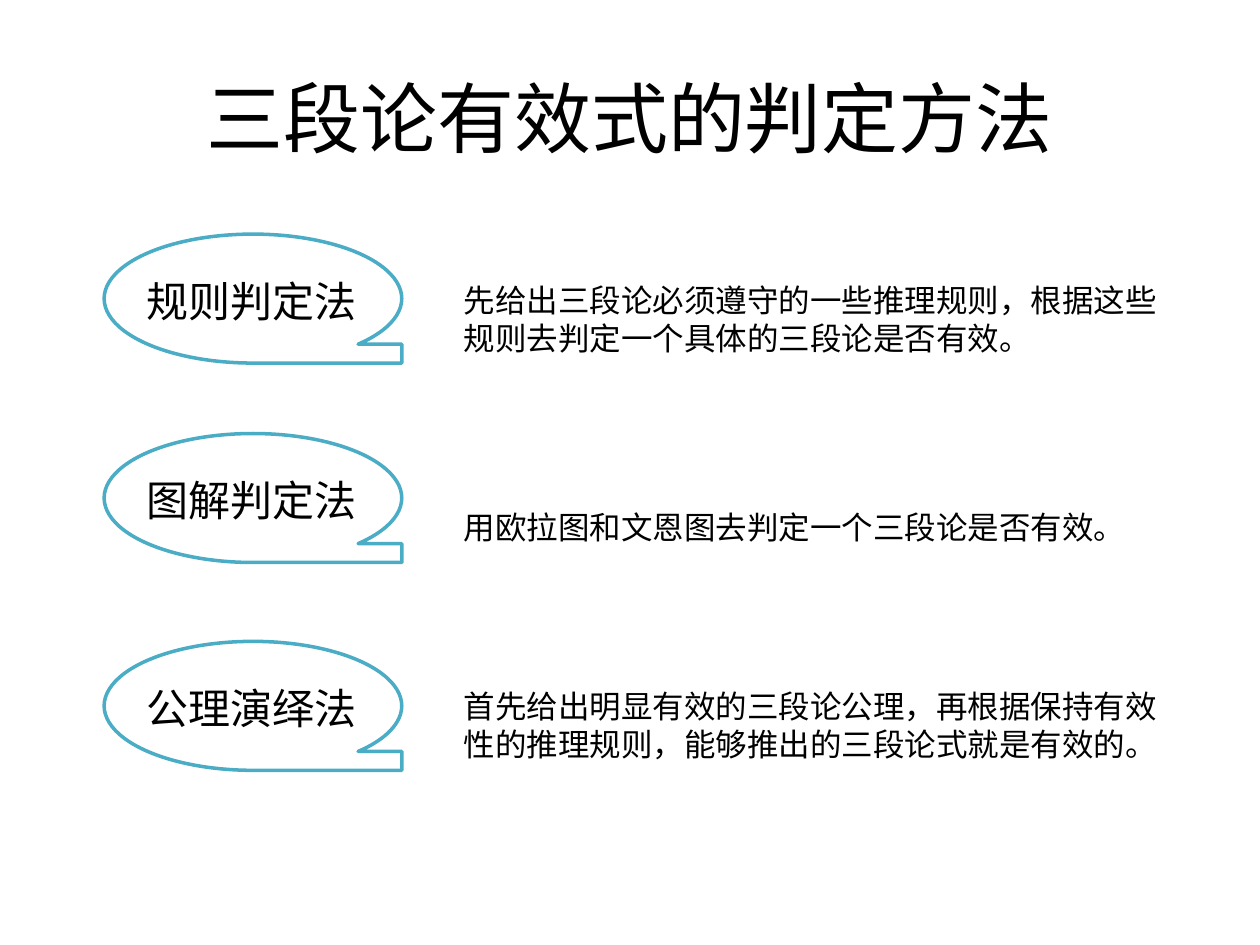
from lxml.etree import SubElement
from pptx import Presentation
from pptx.dml.color import RGBColor
from pptx.enum.shapes import MSO_SHAPE
from pptx.enum.text import MSO_ANCHOR as Anchor, PP_ALIGN as Align
from pptx.oxml.ns import qn
from pptx.util import Cm, Pt

BLACK = RGBColor(0x00, 0x00, 0x00)
WHITE = RGBColor(0xFF, 0xFF, 0xFF)
TEAL = RGBColor(0x4B, 0xAC, 0xC6)

METHODS = [
    (4.72, "规则判定法", 5.54, 1.8,
     "先给出三段论必须遵守的一些推理规则，根据这些规则去判定一个具体的三段论是否有效。"),
    (8.74, "图解判定法", 10.11, 1.02,
     "用欧拉图和文恩图去判定一个三段论是否有效。"),
    (12.93, "公理演绎法", 13.72, 1.8,
     "首先给出明显有效的三段论公理，再根据保持有效性的推理规则，能够推出的三段论式就是有效的。"),
]


def write(tf, text, size=18, font="Noto Sans CJK SC", color=BLACK,
          align=Align.LEFT, anchor=Anchor.TOP):
    tf.word_wrap = True
    tf.vertical_anchor = anchor
    p = tf.paragraphs[0]
    p.alignment = align
    r = p.add_run()
    r.text = text
    r.font.size = Pt(size)
    r.font.name = font
    r.font.color.rgb = color
    SubElement(r.font._element, qn("a:ea"), typeface=font)


class Deck:
    line_color = TEAL
    line_width = Pt(2)
    fill_color = WHITE

    def __init__(self, prs):
        self.slide = prs.slides.add_slide(prs.slide_layouts[6])

    def text(self, x, y, w, h, text, **style):
        sp = self.slide.shapes.add_textbox(Cm(x), Cm(y), Cm(w), Cm(h))
        write(sp.text_frame, text, **style)

    def bubble(self, x, y, w, h):
        sp = self.slide.shapes.add_shape(
            MSO_SHAPE.FLOWCHART_SEQUENTIAL_ACCESS_STORAGE,
            Cm(x), Cm(y), Cm(w), Cm(h))
        sp.shadow.inherit = False
        sp.fill.solid()
        sp.fill.fore_color.rgb = self.fill_color
        sp.line.color.rgb = self.line_color
        sp.line.width = self.line_width


def main():
    prs = Presentation()
    prs.slide_width, prs.slide_height = Cm(25.4), Cm(19.05)
    deck = Deck(prs)
    deck.text(1.27, 0.76, 22.86, 3.18, "三段论有效式的判定方法", size=44,
              font="Noto Sans CJK JP", align=Align.CENTER, anchor=Anchor.MIDDLE)
    for top, name, text_top, text_height, description in METHODS:
        deck.bubble(2.1, top, 6, 2.6)
        deck.text(2.7, top + 0.71, 5, 1.27, name, size=24)
        deck.text(9.1, text_top, 15, text_height, description)
    prs.save("out.pptx")


if __name__ == "__main__":
    main()
